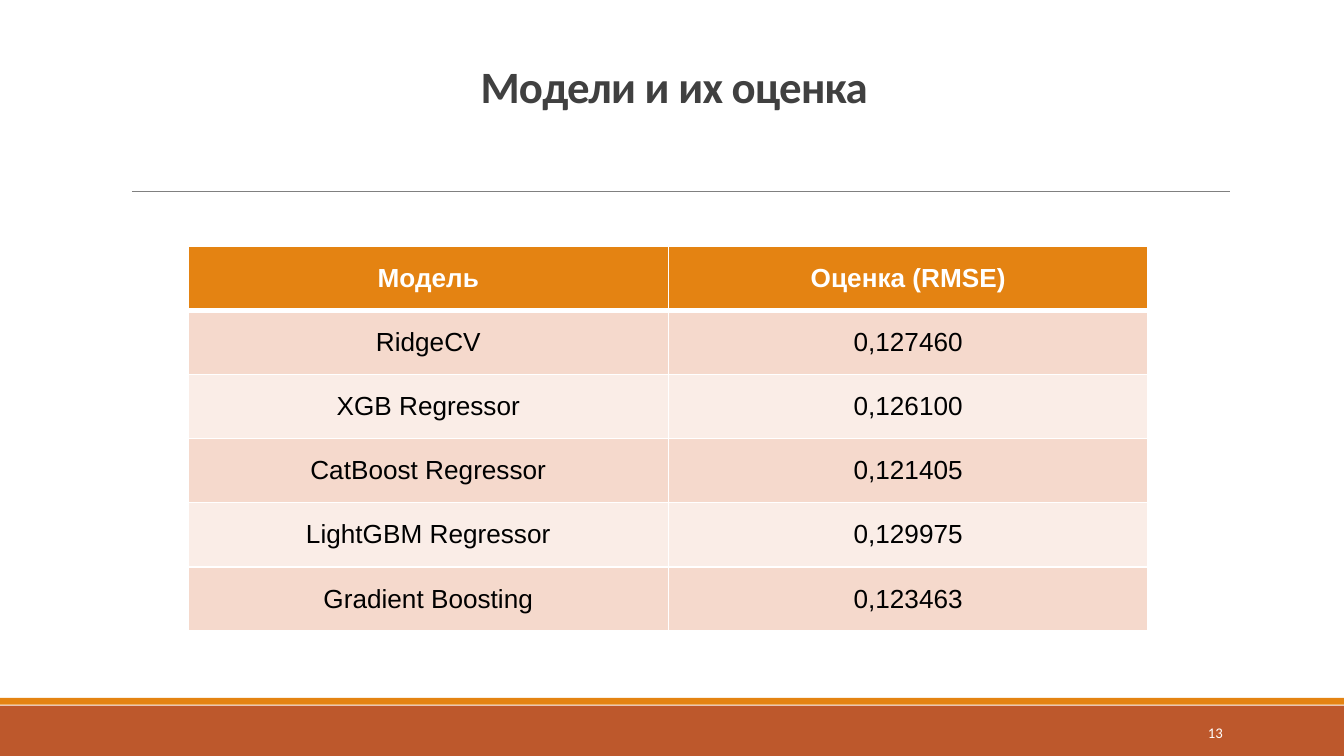
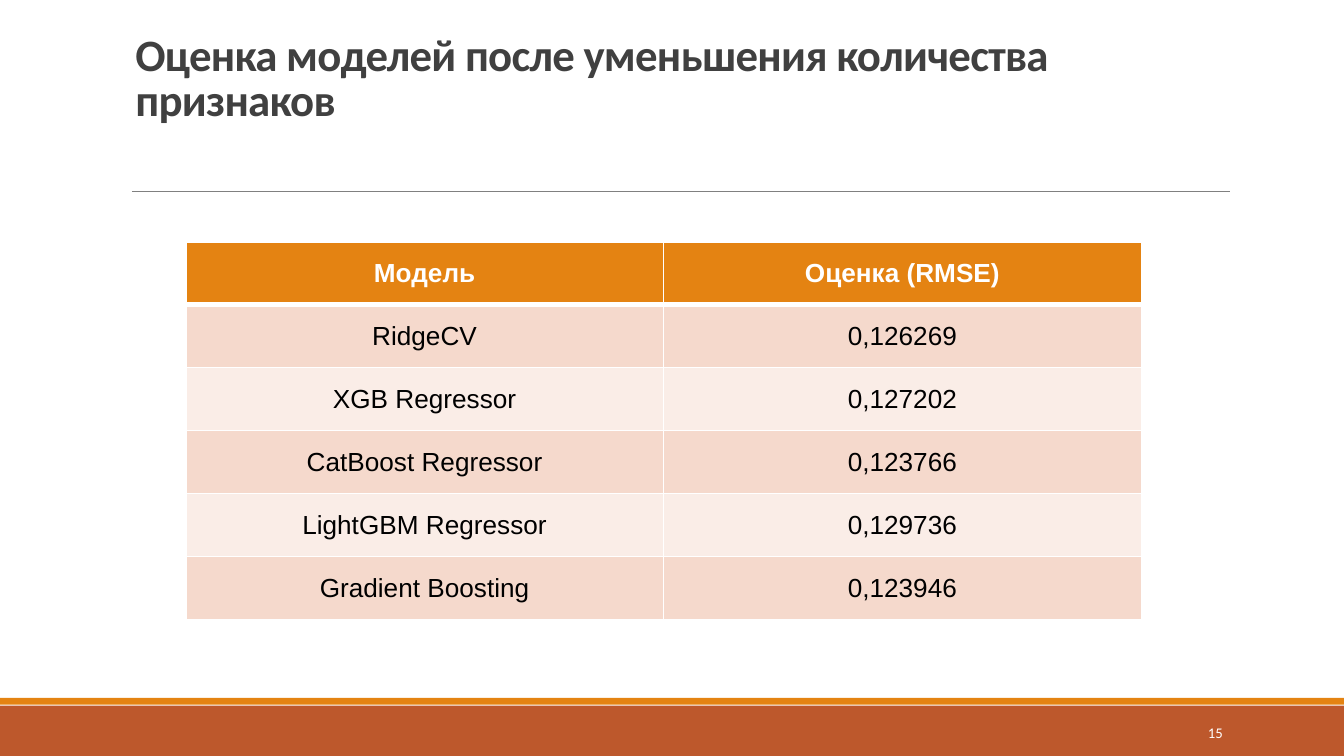
from dataclasses import dataclass

from lxml import etree
from pptx import Presentation
from pptx.dml.color import RGBColor
from pptx.enum.shapes import MSO_CONNECTOR, MSO_SHAPE
from pptx.enum.text import MSO_ANCHOR, PP_ALIGN
from pptx.oxml.ns import qn
from pptx.util import Cm, Pt

LEFT, MID, RIGHT = PP_ALIGN.LEFT, PP_ALIGN.CENTER, PP_ALIGN.RIGHT
CENTER, BOTTOM = MSO_ANCHOR.MIDDLE, MSO_ANCHOR.BOTTOM
RECT, LINE = MSO_SHAPE.RECTANGLE, MSO_CONNECTOR.STRAIGHT

RUST, ORANGE, GREY, INK = "BD582C", "E48312", "808080", "404040"
ROSE, PALE, WHITE, BLACK = "F5D9CC", "FAEDE7", "FFFFFF", "000000"
WIDTH, HEIGHT = 25.4, 14.29
HEADS = ("Модель", "Оценка (RMSE)")
MODELS = ("RidgeCV", "XGB Regressor", "CatBoost Regressor",
          "LightGBM Regressor", "Gradient Boosting")


@dataclass(frozen=True)
class Box:
    left: float
    top: float
    width: float
    height: float

    def place(self) -> tuple[Cm, ...]:
        return Cm(self.left), Cm(self.top), Cm(self.width), Cm(self.height)


@dataclass(frozen=True)
class Band:
    box: Box
    fill: str


@dataclass(frozen=True)
class Style:
    font: str
    size: float
    color: str
    bold: bool = False
    align: PP_ALIGN = MID


@dataclass(frozen=True)
class Page:
    title: str
    align: PP_ALIGN
    head: Box
    grid: Box
    scores: tuple[str, ...]
    number: int


BANDS = (
    Band(Box(0, 13.34, WIDTH, 0.95), RUST),
    Band(Box(0, 13.19, WIDTH, 0.13), ORANGE),
)
FOOT = Box(20.62, 13.46, 2.74, 0.76)
NUMBER = Style("Calibri", 7.9, WHITE, align=RIGHT)
HEADER = Style("Arial", 14, WHITE, bold=True)
BODY = Style("Arial", 14, BLACK)

PAGES = (
    Page("Модели и их оценка", MID,
         Box(2.26, 1.12, 20.96, 1.14), Box(3.56, 4.65, 18.14, 7.28),
         ("0,127460", "0,126100", "0,121405", "0,129975", "0,123463"), 13),
    Page("Оценка моделей после уменьшения количества признаков", LEFT,
         Box(2.31, 1.32, 20.96, 1.19), Box(3.51, 4.57, 18.06, 7.14),
         ("0,126269", "0,127202", "0,123766", "0,129736", "0,123946"), 15),
)


def tint(code: str) -> RGBColor:
    return RGBColor.from_string(code)


def write(frame, text: str, style: Style):
    para = frame.paragraphs[0]
    para.alignment = style.align
    run = para.add_run()
    run.text = text
    font = run.font
    font.name, font.size, font.bold = style.font, Pt(style.size), style.bold
    font.color.rgb = tint(style.color)
    return para


def add_text(slide, box: Box, text: str, style: Style, anchor: MSO_ANCHOR):
    frame = slide.shapes.add_textbox(*box.place()).text_frame
    frame.word_wrap = True
    frame.vertical_anchor = anchor
    return write(frame, text, style)


def add_band(slide, band: Band) -> None:
    shape = slide.shapes.add_shape(RECT, *band.box.place())
    shape.shadow.inherit = False
    shape.fill.solid()
    shape.fill.fore_color.rgb = tint(band.fill)
    shape.line.fill.background()


def add_rule(slide) -> None:
    rule = slide.shapes.add_connector(
        LINE, Cm(2.49), Cm(3.62), Cm(23.24), Cm(3.62))
    rule.line.color.rgb = tint(GREY)
    rule.line.width = Pt(0.5)
    etree.SubElement(rule.element.spPr, qn("a:effectLst"))


def add_title(slide, page: Page) -> None:
    style = Style("Calibri", 24, INK, bold=True, align=page.align)
    para = add_text(slide, page.head, page.title, style, BOTTOM)
    para.line_spacing = 0.85
    para.runs[0].font._element.set("spc", "-40")


def edge(cell, side: str, width: float) -> None:
    props = cell._tc.get_or_add_tcPr()
    line = etree.SubElement(props, qn(f"a:ln{side}"), w=str(Pt(width)))
    fill = etree.SubElement(line, qn("a:solidFill"))
    etree.SubElement(fill, qn("a:srgbClr"), val=WHITE)


def add_grid(slide, page: Page) -> None:
    rows = [HEADS, *zip(MODELS, page.scores)]
    table = slide.shapes.add_table(
        len(rows), len(HEADS), *page.grid.place()).table
    for col in table.columns:
        col.width = Cm(page.grid.width / len(HEADS))
    for y, row in enumerate(rows):
        table.rows[y].height = Cm(page.grid.height / len(rows))
        style = BODY if y else HEADER
        fill = (ROSE if y % 2 else PALE) if y else ORANGE
        thick = {"T": 3 if y == 1 else 1, "B": 1 if y else 3}
        for x, text in enumerate(row):
            cell = table.cell(y, x)
            cell.vertical_anchor = CENTER
            for side in "LRTB":
                edge(cell, side, thick.get(side, 1))
            cell.fill.solid()
            cell.fill.fore_color.rgb = tint(fill)
            write(cell.text_frame, text, style)


def add_page(deck, page: Page) -> None:
    slide = deck.slides.add_slide(deck.slide_layouts[6])
    for band in BANDS:
        add_band(slide, band)
    add_rule(slide)
    add_title(slide, page)
    add_grid(slide, page)
    add_text(slide, FOOT, str(page.number), NUMBER, CENTER)


def main() -> None:
    deck = Presentation()
    deck.slide_width, deck.slide_height = Cm(WIDTH), Cm(HEIGHT)
    for page in PAGES:
        add_page(deck, page)
    deck.save("out.pptx")


if __name__ == "__main__":
    main()
